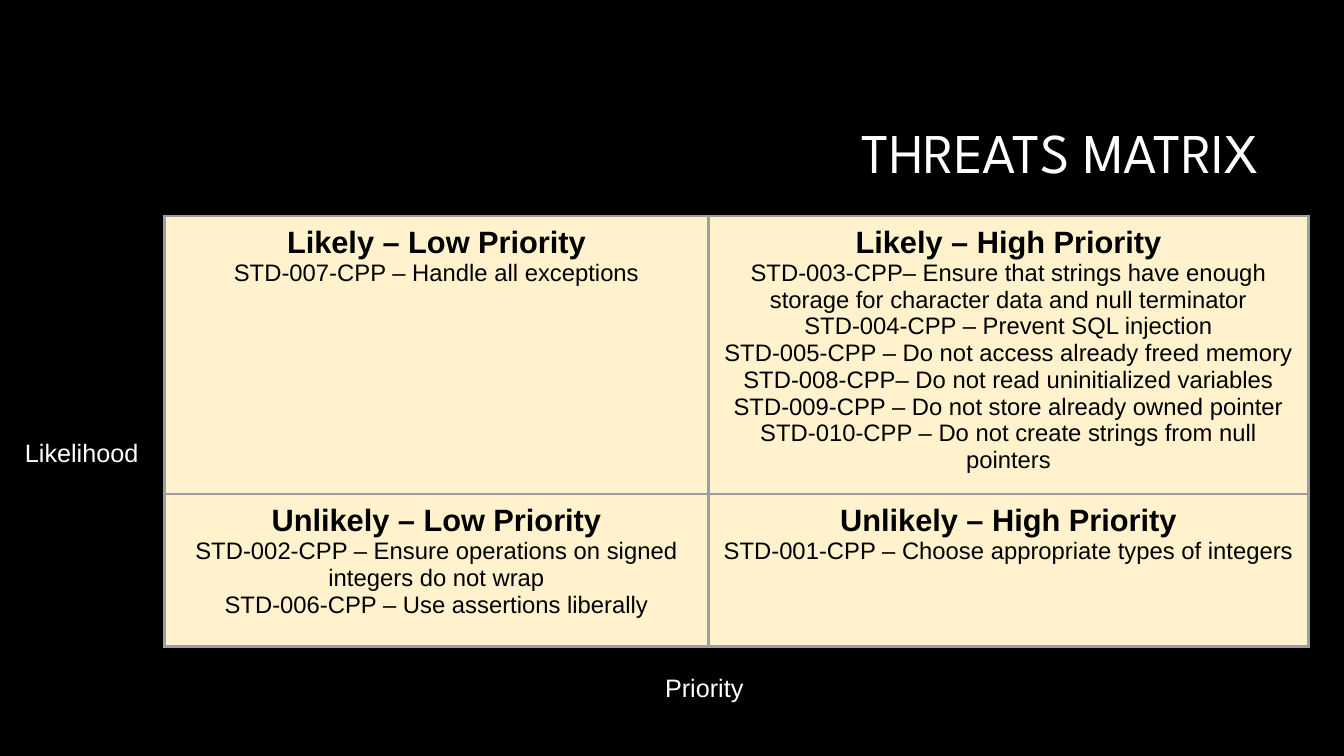
from dataclasses import dataclass

import lxml.etree
import pptx
import pptx.dml.color
import pptx.enum.text
import pptx.oxml.ns
import pptx.slide
import pptx.table
import pptx.text.text
import pptx.util
from pptx.util import Cm

ALIGN = pptx.enum.text.PP_ALIGN
ANCHOR = pptx.enum.text.MSO_ANCHOR
AUTO_SIZE = pptx.enum.text.MSO_AUTO_SIZE

BLACK, WHITE, CREAM, GREY = "000000", "FFFFFF", "FFF2CC", "9E9E9E"
BODY_FONT, TITLE_FONT = "Arial", "League Spartan"
COLUMN_WIDTHS = (Cm(13.72), Cm(15.11))
ROW_HEIGHTS = (Cm(7.01), Cm(3.84))
CELL_MARGIN = Cm(0.24)
BORDER_WIDTH = pptx.util.Pt(2.25)


@dataclass(frozen=True)
class Quadrant:
    row: int
    column: int
    heading: str
    standards: tuple[str, ...]


@dataclass(frozen=True)
class AxisLabel:
    text: str
    left: float
    top: float
    width: float


QUADRANTS = (
    Quadrant(0, 0, "Likely – Low Priority", (
        "STD-007-CPP – Handle all exceptions",
    )),
    Quadrant(0, 1, "Likely – High Priority", (
        "STD-003-CPP– Ensure that strings have enough storage for character data and null terminator",
        "STD-004-CPP – Prevent SQL injection",
        "STD-005-CPP – Do not access already freed memory",
        "STD-008-CPP– Do not read uninitialized variables",
        "STD-009-CPP – Do not store already owned pointer",
        "STD-010-CPP – Do not create strings from null pointers",
    )),
    Quadrant(1, 0, "Unlikely – Low Priority", (
        "STD-002-CPP – Ensure operations on signed integers do not wrap",
        "STD-006-CPP – Use assertions liberally",
    )),
    Quadrant(1, 1, "Unlikely – High Priority", (
        "STD-001-CPP – Choose appropriate types of integers",
    )),
)

AXIS_LABELS = (
    AxisLabel("Likelihood", 0.38, 10.9, 3.4),
    AxisLabel("Priority", 16.51, 16.81, 2.51),
)


def rgb(value: str) -> pptx.dml.color.RGBColor:
    return pptx.dml.color.RGBColor.from_string(value)


def add_run(paragraph: pptx.text.text._Paragraph, text: str, size: float,
            color: str, font: str = BODY_FONT, bold: bool = False) -> None:
    run = paragraph.add_run()
    run.text = text
    run.font.name = font
    run.font.size = pptx.util.Pt(size)
    run.font.bold = bold
    run.font.color.rgb = rgb(color)


def add_borders(cell: pptx.table._Cell) -> None:
    properties = cell._tc.get_or_add_tcPr()
    for side in ("a:lnL", "a:lnR", "a:lnT", "a:lnB"):
        line = lxml.etree.SubElement(
            properties, pptx.oxml.ns.qn(side), w=str(BORDER_WIDTH))
        fill = lxml.etree.SubElement(line, pptx.oxml.ns.qn("a:solidFill"))
        lxml.etree.SubElement(fill, pptx.oxml.ns.qn("a:srgbClr"), val=GREY)


def fill_quadrant(cell: pptx.table._Cell, quadrant: Quadrant) -> None:
    add_borders(cell)
    cell.fill.solid()
    cell.fill.fore_color.rgb = rgb(CREAM)
    cell.margin_left = cell.margin_right = CELL_MARGIN
    cell.margin_top = cell.margin_bottom = CELL_MARGIN
    heading = cell.text_frame.paragraphs[0]
    heading.alignment = ALIGN.CENTER
    add_run(heading, quadrant.heading, 22, BLACK, bold=True)
    for standard in quadrant.standards:
        paragraph = cell.text_frame.add_paragraph()
        paragraph.alignment = ALIGN.CENTER
        add_run(paragraph, standard, 17, BLACK)


def add_title(slide: pptx.slide.Slide, text: str) -> None:
    title = slide.shapes.title
    title.left, title.top = Cm(8.05), Cm(2.13)
    title.width, title.height = Cm(23.93), Cm(3.58)
    frame = title.text_frame
    frame.auto_size = AUTO_SIZE.NONE
    frame.vertical_anchor = ANCHOR.MIDDLE
    paragraph = frame.paragraphs[0]
    paragraph.alignment = ALIGN.RIGHT
    paragraph.line_spacing = 0.9
    add_run(paragraph, text, 40, WHITE, TITLE_FONT)


def add_matrix(slide: pptx.slide.Slide) -> None:
    matrix = slide.shapes.add_table(
        len(ROW_HEIGHTS), len(COLUMN_WIDTHS), Cm(4.14), Cm(5.44),
        sum(COLUMN_WIDTHS), sum(ROW_HEIGHTS)).table
    matrix.first_row = matrix.horz_banding = False
    for column, width in zip(matrix.columns, COLUMN_WIDTHS):
        column.width = width
    for row, height in zip(matrix.rows, ROW_HEIGHTS):
        row.height = height
    for quadrant in QUADRANTS:
        fill_quadrant(matrix.cell(quadrant.row, quadrant.column), quadrant)


def add_axis_label(slide: pptx.slide.Slide, label: AxisLabel) -> None:
    box = slide.shapes.add_textbox(
        Cm(label.left), Cm(label.top), Cm(label.width), Cm(1.02))
    box.text_frame.word_wrap = False
    box.text_frame.auto_size = AUTO_SIZE.SHAPE_TO_FIT_TEXT
    add_run(box.text_frame.paragraphs[0], label.text, 18, WHITE)


def main() -> None:
    # Slide and background
    deck = pptx.Presentation()
    deck.slide_width, deck.slide_height = Cm(33.87), Cm(19.05)
    slide = deck.slides.add_slide(deck.slide_layouts.get_by_name("Title Only"))
    slide.background.fill.solid()
    slide.background.fill.fore_color.rgb = rgb(BLACK)

    # Title, matrix and axis labels
    add_title(slide, "THREATS MATRIX")
    add_matrix(slide)
    for label in AXIS_LABELS:
        add_axis_label(slide, label)

    deck.save("out.pptx")


if __name__ == "__main__":
    main()
